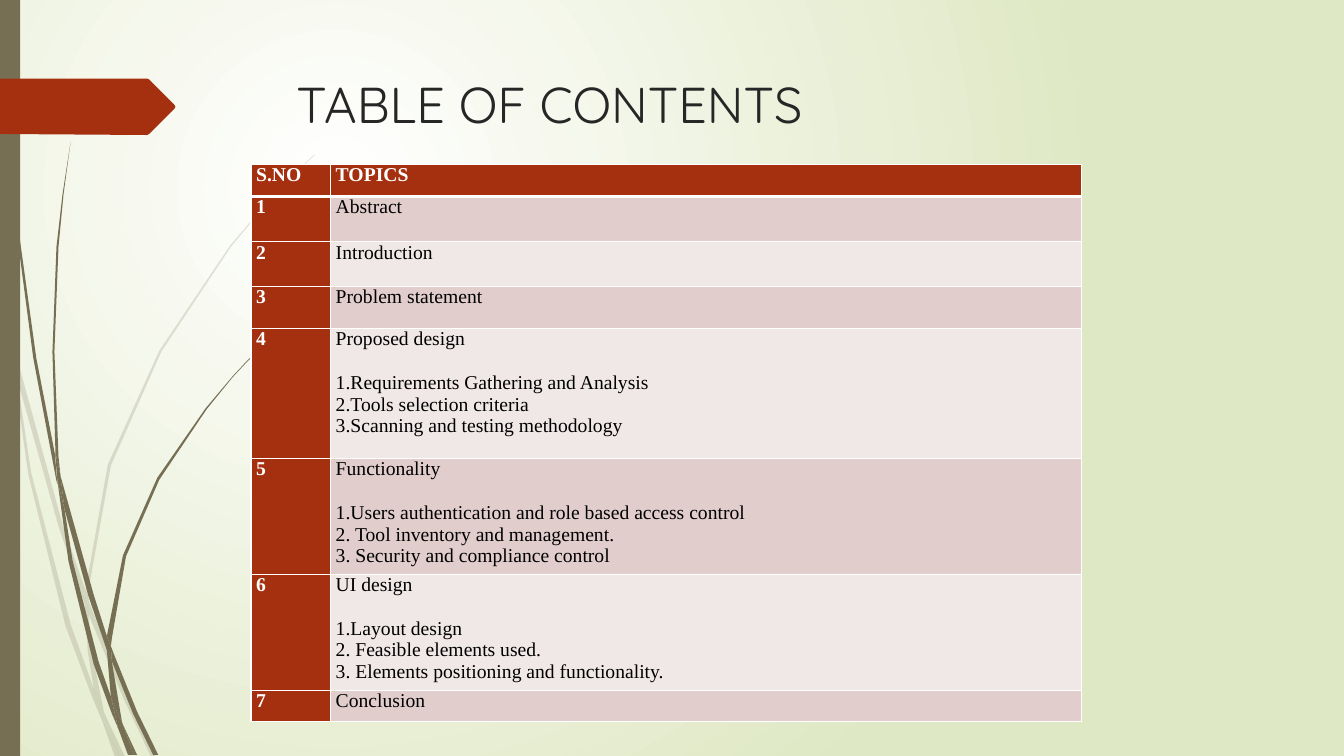
from lxml import etree
from pptx import Presentation
from pptx.dml.color import RGBColor
from pptx.enum.shapes import MSO_SHAPE
from pptx.oxml.ns import qn
from pptx.util import Inches, Pt

RECTANGLE = MSO_SHAPE.RECTANGLE
WHITE = RGBColor(0xFF, 0xFF, 0xFF)
BLACK = RGBColor(0x00, 0x00, 0x00)
PALE_GREEN = RGBColor(0xDF, 0xE8, 0xC4)
OLIVE = RGBColor(0x76, 0x6F, 0x54)
RUST = RGBColor(0xA5, 0x30, 0x10)
TITLE_GREY = RGBColor(0x26, 0x26, 0x26)
BANDS = (RGBColor(0xE1, 0xCD, 0xCC), RGBColor(0xF0, 0xE8, 0xE7))
TITLE_FONT = "Quicksand"
TABLE_FONT = "Times New Roman"
HUNDREDTH = Inches(0.01)

PALE_STALKS = [
    [(11, 350), (9, 322), (0, 282), (0, 299), (10, 344)],
    [(58, 522), (84, 599), (85, 586), (62, 520), (14, 345), (17, 376)],
    [(92, 607), (88, 596), (88, 610), (123, 694), (150, 751), (155, 751),
     (127, 692)],
    [(119, 751), (124, 751), (105, 711)],
    [(93, 683), (70, 619), (31, 469), (17, 376), (11, 350), (28, 470),
     (65, 621), (92, 693), (101, 714), (99, 707)],
    [(84, 599), (87, 646), (93, 683), (96, 692), (105, 711), (103, 706),
     (91, 646), (88, 610), (88, 608)],
    [(88, 584), (110, 462), (160, 349), (229, 245), (268, 198), (290, 175),
     (312, 154), (312, 153), (289, 175), (268, 197), (228, 244), (158, 348),
     (107, 461), (85, 584), (85, 586), (88, 596)],
    [(101, 714), (114, 751), (119, 751)],
    [(88, 608), (88, 610), (88, 596), (85, 586), (84, 599)],
    [(96, 692), (93, 683), (99, 707), (101, 714), (119, 751), (105, 711)],
]
DARK_STALKS = [
    [(7, 110), (17, 233), (33, 355), (56, 477), (57, 481), (55, 457),
     (55, 453), (36, 355), (19, 232), (8, 109), (5, 48), (4, 0), (3, 0),
     (4, 48)],
    [(88, 592), (106, 645), (106, 633), (106, 631), (93, 590), (60, 472),
     (64, 505)],
    [(113, 649), (110, 641), (111, 656), (132, 708), (152, 749), (157, 749),
     (136, 706)],
    [(110, 691), (98, 657), (72, 556), (64, 505), (57, 477), (68, 557),
     (93, 659), (111, 708), (117, 722), (116, 717)],
    [(60, 472), (58, 453), (54, 349), (58, 245), (63, 193), (70, 141),
     (62, 193), (56, 245), (52, 349), (55, 449)],
    [(133, 749), (136, 749), (122, 719)],
    [(57, 477), (64, 505), (60, 472), (55, 449), (55, 453)],
    [(111, 633), (125, 552), (158, 476), (205, 406), (231, 374), (245, 359),
     (261, 344), (260, 344), (245, 358), (231, 373), (204, 405), (156, 474),
     (122, 551), (106, 631), (110, 641)],
    [(117, 722), (127, 749), (131, 749)],
    [(106, 645), (110, 691), (116, 706), (122, 719), (121, 716), (111, 656),
     (109, 651)],
    [(106, 645), (109, 651), (111, 656), (110, 641), (106, 631), (106, 633)],
    [(116, 706), (110, 691), (116, 717), (117, 722), (130, 749), (133, 749),
     (122, 719)],
]
ARROW = [(173, 30), (148, 55), (146, 56), (0, 55), (0, 0), (146, 0), (148, 1),
         (173, 26), (174, 28)]

TOPICS = [
    ("Abstract", []),
    ("Introduction", []),
    ("Problem statement", []),
    ("Proposed design", ["1.Requirements Gathering and Analysis",
                         "2.Tools selection criteria",
                         "3.Scanning and testing methodology"]),
    ("Functionality", ["1.Users authentication and role based access control",
                       "2. Tool inventory and management.",
                       "3. Security and compliance control"]),
    ("UI design", ["1.Layout design",
                   "2. Feasible elements used.",
                   "3. Elements positioning and functionality."]),
    ("Conclusion", []),
]
COLUMN_WIDTHS = (0.79, 7.45)
ROW_HEIGHTS = (0.32, 0.45, 0.44, 0.42, 1.29, 1.13, 1.12, 0.31)


def paint_background(slide):
    """Fill the background with a circular white to green gradient."""
    fill = slide.background.fill
    fill.gradient()
    for stop, color in zip(fill.gradient_stops, (WHITE, PALE_GREEN)):
        stop.color.rgb = color
    linear = next(slide.background._cSld.iter(qn("a:lin")))
    circle = etree.Element(qn("a:path"), path="circle")
    etree.SubElement(circle, qn("a:fillToRect"),
                     l="50000", t="50000", r="100000", b="100000")
    linear.getparent().replace(linear, circle)


def paint_shape(shape, color):
    """Give a shape a flat fill without line or shadow."""
    shape.shadow.inherit = False
    shape.fill.solid()
    shape.fill.fore_color.rgb = color
    shape.line.fill.background()


def add_outline(shapes, left, top, points, color):
    """Draw a closed outline whose points are hundredths of an inch."""
    builder = shapes.build_freeform(*points[0], scale=HUNDREDTH)
    builder.add_line_segments(points[1:], close=True)
    shape = builder.convert_to_shape(left, top)
    paint_shape(shape, color)
    return shape


def add_stalks(slide, left, top, outlines, opacity):
    """Draw one group of grass stalks."""
    group = slide.shapes.add_group_shape()
    for points in outlines:
        stalk = add_outline(group.shapes, left, top, points, OLIVE)
        color = next(stalk.fill._xPr.iter(qn("a:srgbClr")))
        etree.SubElement(color, qn("a:alpha"), val=str(opacity * 1000))


def add_side_bar(slide, left, top, width, height):
    """Draw the olive bar along the slide's edge."""
    bar = slide.shapes.add_shape(RECTANGLE, left, top, width, height)
    paint_shape(bar, OLIVE)


def add_title(slide, left, top, width, height):
    """Write the slide title."""
    frame = slide.shapes.add_textbox(left, top, width, height).text_frame
    frame.word_wrap = True
    paragraph = frame.paragraphs[0]
    paragraph.text = "TABLE OF CONTENTS"
    paragraph.font.name = TITLE_FONT
    paragraph.font.size = Pt(36)
    paragraph.font.color.rgb = TITLE_GREY


def add_borders(cell, top_width, bottom_width):
    """Add white borders to a cell, with widths in points."""
    properties = cell._tc.get_or_add_tcPr()
    for side, width in (("L", 1), ("R", 1), ("T", top_width), ("B", bottom_width)):
        line = etree.SubElement(properties, qn(f"a:ln{side}"), w=str(Pt(width)))
        solid = etree.SubElement(line, qn("a:solidFill"))
        etree.SubElement(solid, qn("a:srgbClr"), val=str(WHITE))


def fill_cell(cell, lines, fill_color, text_color, bold):
    """Write a cell's heading and, after a gap, its sub-items."""
    cell.margin_left = cell.margin_right = Inches(0.05)
    cell.margin_top = cell.margin_bottom = 0
    cell.fill.solid()
    cell.fill.fore_color.rgb = fill_color
    cell.text = "\n".join(lines)
    for index, paragraph in enumerate(cell.text_frame.paragraphs):
        paragraph.font.name = TABLE_FONT
        paragraph.font.size = Pt(14)
        paragraph.font.bold = bold
        paragraph.font.color.rgb = text_color
        if index == 1:
            paragraph.space_before = Pt(15.5)


def add_contents_table(slide, left, top, width, height):
    """Build the numbered table of topics."""
    table = slide.shapes.add_table(len(ROW_HEIGHTS), len(COLUMN_WIDTHS),
                                   left, top, width, height).table
    table.horz_banding = False
    for column, column_width in zip(table.columns, COLUMN_WIDTHS):
        column.width = Inches(column_width)
    for row, row_height in zip(table.rows, ROW_HEIGHTS):
        row.height = Inches(row_height)
    rows = [("S.NO", ["TOPICS"])]
    rows += [(str(number), [topic, *items])
             for number, (topic, items) in enumerate(TOPICS, 1)]
    for index, (number, lines) in enumerate(rows):
        number_cell, topic_cell = table.cell(index, 0), table.cell(index, 1)
        for cell in (number_cell, topic_cell):
            add_borders(cell, 3 if index == 1 else 1, 3 if index == 0 else 1)
        fill_cell(number_cell, [number], RUST, WHITE, True)
        if index == 0:
            fill_cell(topic_cell, lines, RUST, WHITE, True)
        else:
            fill_cell(topic_cell, lines, BANDS[(index - 1) % 2], BLACK, False)


def main():
    """Build and save the contents slide."""
    presentation = Presentation()
    presentation.slide_width = Inches(13.33)
    presentation.slide_height = Inches(7.5)
    slide = presentation.slides.add_slide(presentation.slide_layouts[6])
    paint_background(slide)
    add_stalks(slide, 0, 0, PALE_STALKS, 20)
    add_stalks(slide, 0, 0, DARK_STALKS, 100)
    add_side_bar(slide, 0, 0, Inches(0.2), presentation.slide_height)
    add_outline(slide.shapes, 0, Inches(0.78), ARROW, RUST)
    add_title(slide, Inches(2.84), Inches(0.68), Inches(9.75), Inches(1.4))
    add_contents_table(slide, Inches(2.49), Inches(1.63),
                       Inches(sum(COLUMN_WIDTHS)), Inches(sum(ROW_HEIGHTS)))
    presentation.save("out.pptx")


if __name__ == "__main__":
    main()
